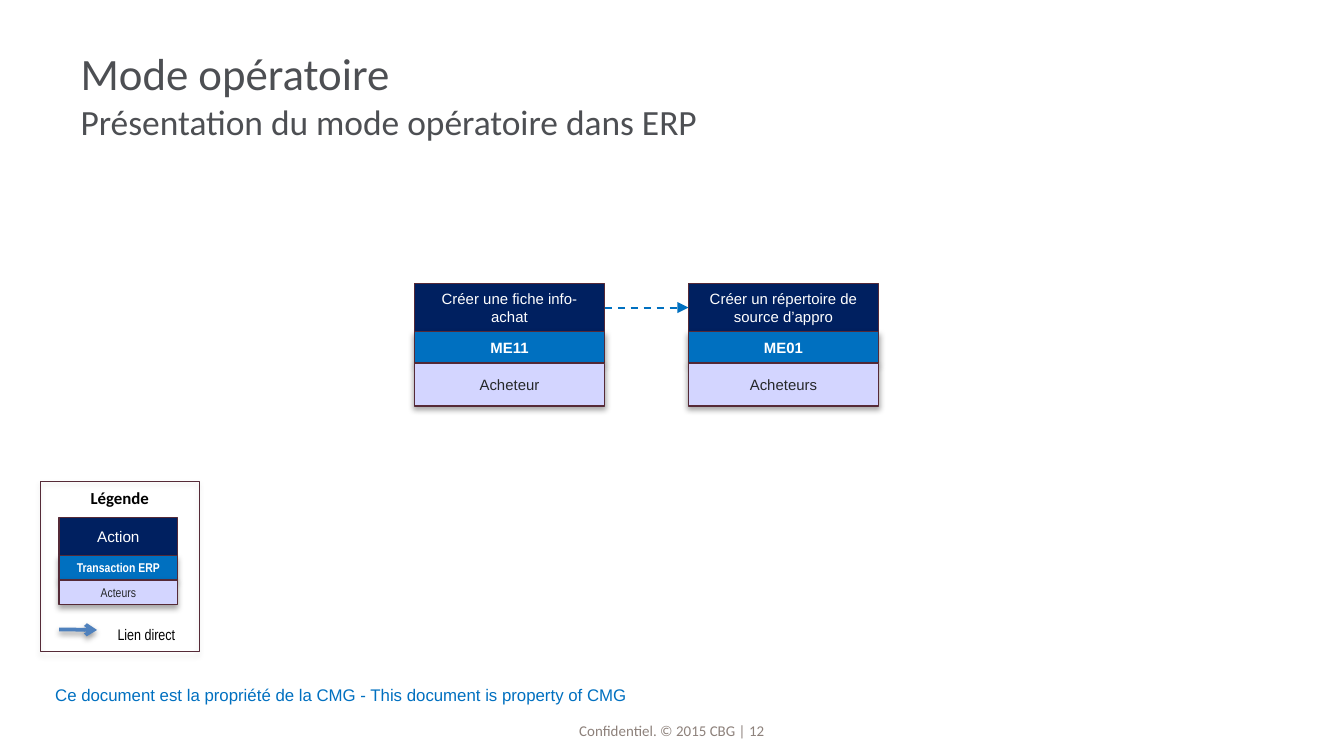
import pptx
import pptx.dml.color
import pptx.enum.dml
import pptx.enum.shapes
import pptx.enum.text
import pptx.oxml
import pptx.oxml.ns
import pptx.util

Pt = pptx.util.Pt
RGB = pptx.dml.color.RGBColor
ALIGN = pptx.enum.text.PP_ALIGN
ANCHOR = pptx.enum.text.MSO_ANCHOR
RECT = pptx.enum.shapes.MSO_SHAPE.RECTANGLE

NAVY = RGB(0x00, 0x20, 0x60)
BLUE = RGB(0x00, 0x70, 0xC0)
LILAC = RGB(0xD3, 0xD5, 0xFF)
MAROON = RGB(0x55, 0x2A, 0x37)
STEEL = RGB(0x4F, 0x81, 0xBD)
GREY = RGB(0x4D, 0x4F, 0x53)
TAUPE = RGB(0x8D, 0x81, 0x7B)
INK = RGB(0x26, 0x28, 0x2A)
WHITE = RGB(0xFF, 0xFF, 0xFF)
BLACK = RGB(0x00, 0x00, 0x00)

TITLE = [("Mode opératoire", 24), ("Présentation du mode opératoire dans ERP", 19)]
ROW_COLORS = [(NAVY, WHITE), (BLUE, WHITE), (LILAC, INK)]
STEP_FONTS = [("Arial", 8)] * 3
KEY_FONTS = [("Arial", 8.2), ("Arial Narrow", 6.8), ("Arial Narrow", 6.8)]
STEP_HEIGHTS = [25.6, 17, 23]
STEP_LEFT, STEP_TOP, STEP_WIDTH, STEP_PITCH = 222, 152, 102, 146.8
STEPS = [
    ("Créer une fiche info-achat", "ME11", "Acheteur"),
    ("Créer un répertoire de source d’appro", "ME01", "Acheteurs"),
]
KEY = ("Action", "Transaction ERP", "Acteurs")
KEY_HEIGHTS = [20.2, 13.3, 13.2]
KEY_FRAME = (21.6, 257.8, 85, 91.4)
LABELS = [
    ("Confidentiel. © 2015 CBG | 12", (244.8, 383.8, 230.4, 12.2),
     dict(name="Calibri", size=8, color=TAUPE),
     dict(vertical_anchor=ANCHOR.BOTTOM, margin_left=0, margin_right=0,
          margin_top=0, margin_bottom=0)),
    ("Ce document est la propriété de la CMG - This document is property of CMG",
     (22.3, 363.6, 320.4, 17.3), dict(name="Arial", size=9, color=BLUE),
     dict(vertical_anchor=ANCHOR.MIDDLE)),
    ("Lien direct", (55.4, 331.2, 46, 17.3),
     dict(name="Arial Narrow", size=8.2, color=BLACK), dict(word_wrap=False)),
    ("Légende", (21.6, 257.8, 85, 18),
     dict(name="Calibri", size=9, color=BLACK, bold=True), {}),
]


def set_font(font, fmt):
    for key, value in fmt.items():
        if key == "color":
            font.color.rgb = value
        else:
            setattr(font, key, Pt(value) if key == "size" else value)


def write(sp, text, fmt, frame):
    tf = sp.text_frame
    for key, value in {"word_wrap": True, **frame}.items():
        setattr(tf, key, value)
    p = tf.paragraphs[0]
    p.alignment = ALIGN.CENTER
    r = p.add_run()
    r.text = text
    set_font(r.font, fmt)


def add_effects(sp, alpha=None, distance=1.8):
    ns = pptx.oxml.ns.nsdecls("a")
    shadow = "" if alpha is None else (
        f'<a:outerShdw blurRad="{Pt(3.1)}" dist="{Pt(distance)}" dir="5400000" rotWithShape="0">'
        f'<a:srgbClr val="000000"><a:alpha val="{alpha * 1000}"/></a:srgbClr></a:outerShdw>')
    xml = f"<a:effectLst {ns}>{shadow}</a:effectLst>"
    sp.element.spPr.append(pptx.oxml.parse_xml(xml))


def add_rect(s, box, fill, width, shadow):
    sp = s.shapes.add_shape(RECT, *map(Pt, box))
    if fill is None:
        sp.fill.background()
    else:
        sp.fill.solid()
        sp.fill.fore_color.rgb = fill
    sp.line.color.rgb = MAROON
    sp.line.width = Pt(width)
    add_effects(sp, 35 if shadow else None)
    return sp


def add_stack(s, left, top, width, heights, texts, fonts):
    cells = []
    rows = zip(heights, texts, fonts, ROW_COLORS)
    for i, (height, text, (name, size), (fill, color)) in enumerate(rows):
        sp = add_rect(s, (left, top, width, height), fill, 0.75, i > 0)
        write(sp, text, dict(name=name, size=size, color=color, bold=i == 1),
              dict(vertical_anchor=ANCHOR.MIDDLE))
        cells.append(sp)
        top += height
    return cells


def add_arrow(s, ends, color, width, head, shadow=None):
    cx = s.shapes.add_connector(pptx.enum.shapes.MSO_CONNECTOR.STRAIGHT, *map(Pt, ends))
    cx.line.color.rgb = color
    cx.line.width = Pt(width)
    ns = pptx.oxml.ns.nsdecls("a")
    ln = cx.line._get_or_add_ln()
    ln.append(pptx.oxml.parse_xml(f'<a:tailEnd {ns} type="{head}"/>'))
    add_effects(cx, shadow, 1.6)
    return cx


prs = pptx.Presentation()
prs.slide_width, prs.slide_height = Pt(720), Pt(405)
s = prs.slides.add_slide(prs.slide_layouts[5])

title = s.shapes.title
title.left, title.top, title.width, title.height = map(Pt, (36, 16.6, 648, 67.7))
tf = title.text_frame
tf.vertical_anchor = ANCHOR.MIDDLE
p = tf.paragraphs[0]
p.alignment = ALIGN.LEFT
for i, (text, size) in enumerate(TITLE):
    if i:
        p.add_line_break()
    r = p.add_run()
    r.text = text
    set_font(r.font, dict(name="Calibri", size=size, color=GREY))

actions = []
for i, texts in enumerate(STEPS):
    cells = add_stack(s, STEP_LEFT + i * STEP_PITCH, STEP_TOP, STEP_WIDTH,
                      STEP_HEIGHTS, texts, STEP_FONTS)
    actions.append(cells[0])

for before, after in zip(actions, actions[1:]):
    cx = add_arrow(s, (0, 0, 0, 0), BLUE, 1, "triangle")
    cx.line.dash_style = pptx.enum.dml.MSO_LINE.DASH
    cx.begin_connect(before, 3)
    cx.end_connect(after, 1)

add_stack(s, 31.7, 277.3, 63.4, KEY_HEIGHTS, KEY, KEY_FONTS)
add_arrow(s, (31.7, 337.2, 52, 337.5), STEEL, 2, "arrow", 38)
add_rect(s, KEY_FRAME, None, 0.25, True)

for text, box, fmt, frame in LABELS:
    write(s.shapes.add_textbox(*map(Pt, box)), text, fmt, frame)

prs.save("out.pptx")
